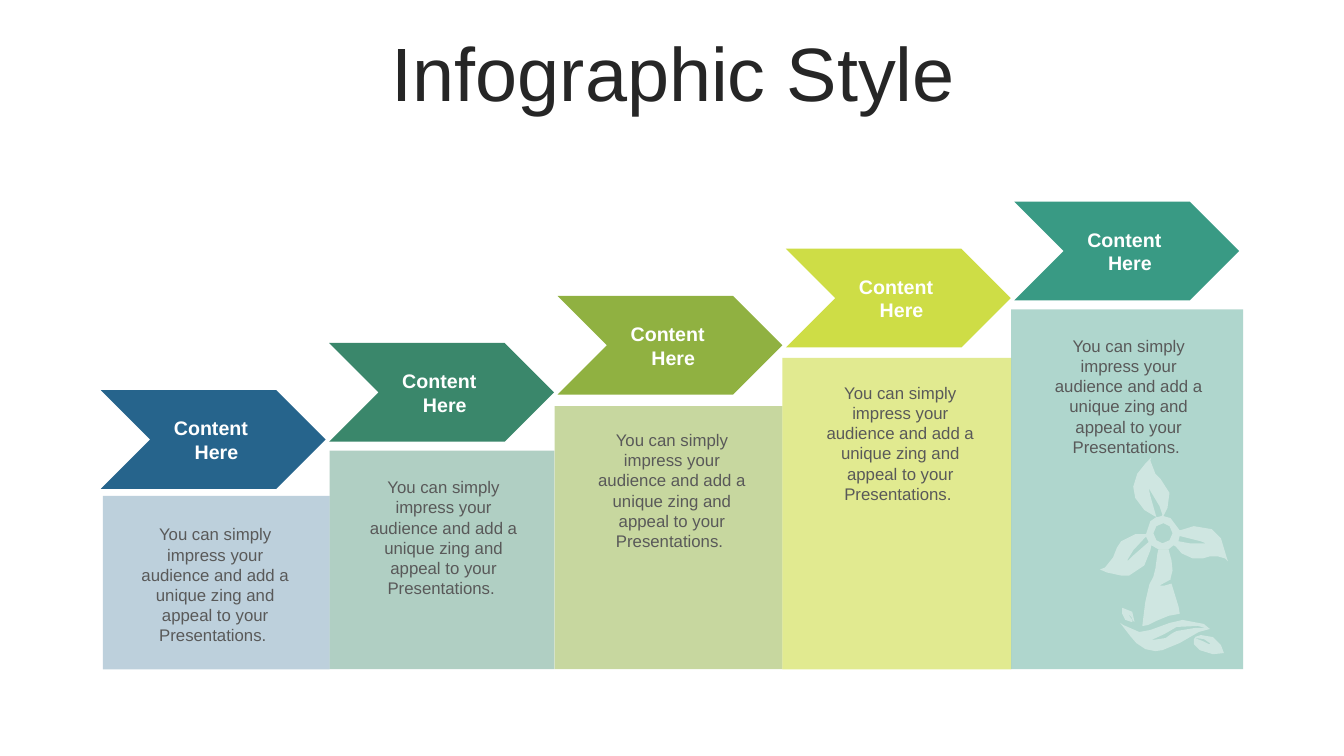
from lxml.etree import SubElement
from pptx import Presentation
from pptx.dml.color import RGBColor
from pptx.enum.shapes import MSO_SHAPE as Preset
from pptx.enum.text import MSO_ANCHOR as Anchor, PP_ALIGN as Align
from pptx.oxml.ns import qn
from pptx.util import Inches, Pt

# Colour, panel opacity in percent, panel left and panel top of each step
STEPS = [
    ("26648C", 30, 1.02, 4.92),
    ("3A876B", 40, 3.27, 4.47),
    ("90B141", 50, 5.50, 4.03),
    ("CEDD46", 60, 7.76, 3.55),
    ("399A84", 40, 10.03, 3.07),
]
RIGHT, BASE = 12.33, 6.64
BODY = ("You can simply impress your audience and add a unique zing "
        "and appeal to your Presentations. ")

# Outlines in hundredths of an inch; the first loop is the edge, the rest are holes
BLADES = [
    "1149,545 1142,541 1141,546 1135,561 1120,571 1112,571 1098,568 1091,565 "
    "1096,563 1104,553 1108,543 1112,537 1126,530 1136,530 1137,529 1141,517 "
    "1147,513 1145,512 1135,506 1126,494 1124,483 1128,470 1136,460 1142,454 "
    "1141,457 1146,470 1151,475 1160,489 1158,504 1154,512 1161,514 1170,526 "
    "1171,526 1184,522 1202,525 1211,534 1217,554 1218,557 1215,554 1208,552 "
    "1200,552 1193,554 1183,554 1172,549 1166,542 1164,541 1159,545",
    "1144,529 1147,536 1153,539 1160,536 1163,529 1160,522 1154,519 1147,522",
    "1138,482 1139,483 1141,492 1147,513 1148,513 1152,512 1153,511 1150,502",
    "1118,556 1119,556 1123,552 1139,538 1139,537 1137,533 1136,533 1124,546",
    "1196,539 1191,537 1171,532 1170,532 1169,536 1169,537 1180,539",
]
TOWER = [
    "1149,545 1159,545 1162,556 1163,566 1161,574 1161,575 1150,581 1155,581 "
    "1162,579 1169,602 1170,608 1170,609 1159,611 1147,616 1139,620 1134,621 "
    "1133,621 1134,613 1135,605 1136,597 1140,580 1144,572 1146,564 1148,549",
]
GROUND = [
    "1200,624 1189,627 1170,638 1153,645 1146,646 1136,644 1127,638 1121,631 "
    "1111,618 1114,620 1130,627 1141,625 1160,618 1173,615 1194,619",
    "1196,623 1188,621 1167,622 1155,629 1142,635 1143,635 1156,633 1163,628 "
    "1167,626 1185,623",
]
LEAF = [
    "1185,632 1191,630 1203,632 1211,640 1214,648 1213,648 1203,649 1190,645 "
    "1184,639 1184,634 1185,633 1193,636 1199,639 1200,639 1200,638 1194,634 "
    "1186,633",
]
BUD = [
    "1118,608 1123,615 1123,617 1122,617 1116,615 1113,609 1113,604 1113,603 "
    "1123,607 1125,616 1125,617 1124,616 1122,612",
]


def rgb(code):
    return RGBColor.from_string(code)


def paint(shape, code, alpha=100):
    """Give a flat fill with an opacity in percent, and no line or shadow."""
    shape.shadow.inherit = False
    shape.line.fill.background()
    shape.fill.solid()
    shape.fill.fore_color.rgb = rgb(code)
    if alpha < 100:
        tint = shape.fill._xPr.find(".//" + qn("a:srgbClr"))
        SubElement(tint, qn("a:alpha")).set("val", str(alpha * 1000))


def block(slide, kind, box, code, alpha=100):
    shape = slide.shapes.add_shape(kind, *map(Inches, box))
    paint(shape, code, alpha)


def label(slide, box, lines, size, code, bold=False):
    """Add centred text, one paragraph a line, and return its frame."""
    frame = slide.shapes.add_textbox(*map(Inches, box)).text_frame
    frame.word_wrap = True
    for i, line in enumerate(lines):
        para = frame.add_paragraph() if i else frame.paragraphs[0]
        para.alignment = Align.CENTER
        run = para.add_run()
        run.text = line
        font = run.font
        font.name, font.size, font.bold = "Arial", Pt(size), bold
        font.color.rgb = rgb(code)
    return frame


def outline(slide, loops):
    pen = None
    for loop in loops:
        dots = [tuple(map(int, dot.split(","))) for dot in loop.split()]
        if pen is None:
            pen = slide.shapes.build_freeform(*dots[0], scale=Inches(0.01))
        else:
            pen.move_to(*dots[0])
        pen.add_line_segments(dots[1:], close=True)
    paint(pen.convert_to_shape(), "FFFFFF", 40)


def main():
    deck = Presentation()
    deck.slide_width, deck.slide_height = Inches(13.33), Inches(7.5)
    slide = deck.slides.add_slide(deck.slide_layouts[6])

    title = label(slide, (0.35, 0.37, 12.66, 0.79), ["Infographic Style"],
                  54, "262626")
    title.vertical_anchor = Anchor.MIDDLE
    title.paragraphs[0].line_spacing = 0.9

    ends = [step[2] for step in STEPS[1:]] + [RIGHT]
    for i, (code, alpha, left, top) in enumerate(STEPS):
        x = 1 + 9.06 * i / 4
        y = 3.87 - 1.87 * i / 4
        block(slide, Preset.RECTANGLE,
              (left, top, ends[i] - left, BASE - top), code, alpha)
        block(slide, Preset.CHEVRON, (x, y, 2.23, 0.98), code)
        label(slide, (x + 0.57, y + 0.21, 1.1, 0.57), ["Content ", " Here"],
              14, "FFFFFF", True)
        label(slide, (x + 0.2, y + 1.28, 1.87, 1.11), [BODY], 12, "595959")

    for loops in (BLADES, TOWER, GROUND, LEAF, BUD):
        outline(slide, loops)
    deck.save("out.pptx")


if __name__ == "__main__":
    main()
